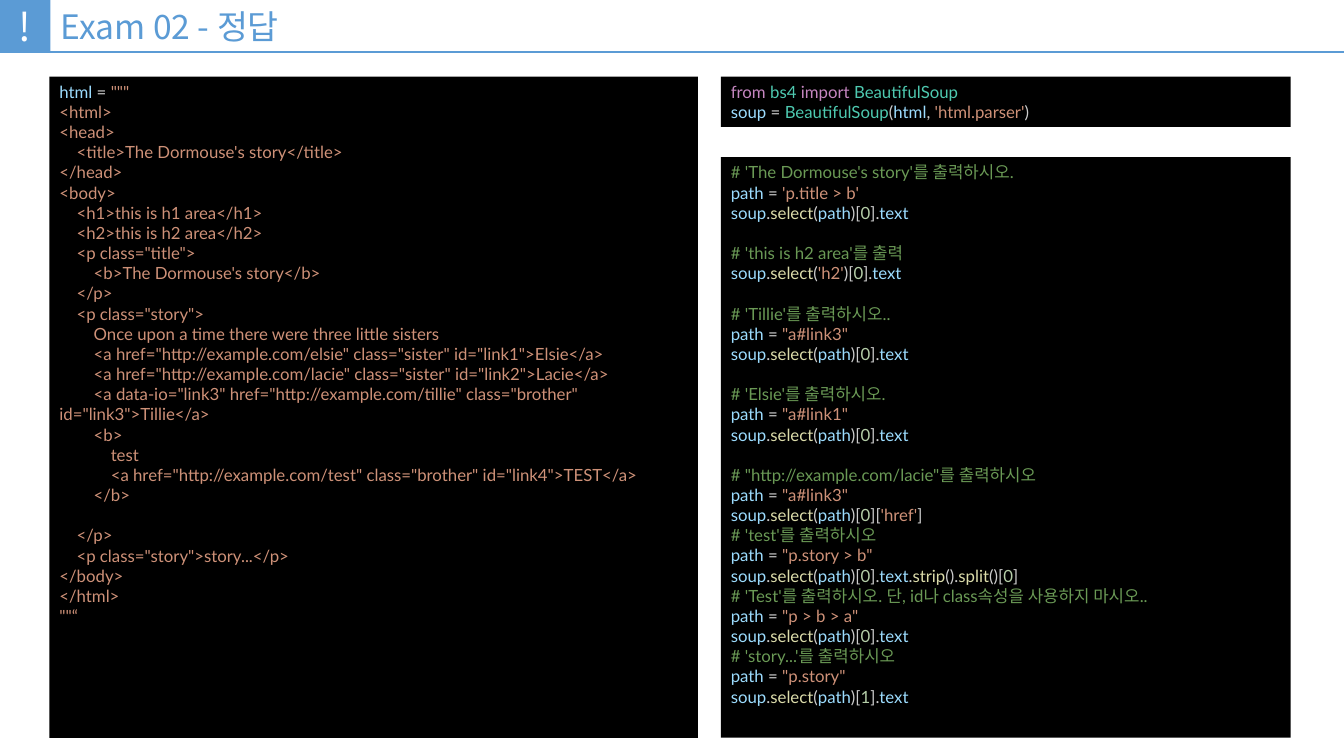
from pptx import Presentation, util as u
from pptx.dml.color import RGBColor
from pptx.enum import shapes, text
from pptx.oxml.ns import qn
from lxml import etree

WHITE = RGBColor(0xFF, 0xFF, 0xFF)
BLACK = RGBColor(0x00, 0x00, 0x00)
BLUE = RGBColor(0x5B, 0x9B, 0xD5)
VARIABLE = RGBColor(0x9C, 0xDC, 0xFE)
OPERATOR = RGBColor(0xD4, 0xD4, 0xD4)
STRING = RGBColor(0xCE, 0x91, 0x78)
KEYWORD = RGBColor(0xC5, 0x86, 0xC0)
CLASS = RGBColor(0x4E, 0xC9, 0xB0)
FUNCTION = RGBColor(0xDC, 0xDC, 0xAA)
NUMBER = RGBColor(0xB5, 0xCE, 0xA8)
COMMENT = RGBColor(0x6A, 0x99, 0x55)
PUNCTUATION = RGBColor(0xCC, 0xCC, 0xCC)

TOKEN_COLOURS = {
    "=": OPERATOR, "from": KEYWORD, "import": KEYWORD,
    "bs4": CLASS, "BeautifulSoup": CLASS, "0": NUMBER, "1": NUMBER,
    **dict.fromkeys(["html", "soup", "path", "text"], VARIABLE),
    **dict.fromkeys(["select", "strip", "split"], FUNCTION),
    "#": COMMENT, "'": STRING, '"': STRING,
}
KOREAN_FONT = "Noto Sans CJK KR"
INDENT = u.Inches(0.17)
CODE_SIZE = 12
BLANK_LINE = u.Pt(CODE_SIZE * 1.2)

presentation = Presentation()
presentation.slide_width, presentation.slide_height = u.Inches(13.33), u.Inches(7.5)
slide = presentation.slides.add_slide(presentation.slide_layouts[5])

# Positions are percentages of the slide's width and height
column, row = presentation.slide_width / 100, presentation.slide_height / 100
HEADER_HEIGHT, BADGE_WIDTH = 6.93, 3.75
PANEL_TOP, PANEL_BOTTOM = 10.13, 97.6
LEFT_X, LEFT_WIDTH = 3.68, 48.24
RIGHT_X, RIGHT_WIDTH = 53.64, 42.39
IMPORT_HEIGHT, ANSWER_TOP = 6.67, 20.8


def write(paragraph, content, font=KOREAN_FONT, size=24, colour=BLUE,
          align=text.PP_ALIGN.LEFT):
    paragraph.alignment = align
    run = paragraph.add_run()
    run.text = content
    run.font.name, run.font.size = font, u.Pt(size)
    run.font.color.rgb = colour
    east_asian = etree.SubElement(run.font._element, qn("a:ea"))
    east_asian.set("typeface", KOREAN_FONT)


def add_box(left, top, width, height, fill, anchor):
    shape = slide.shapes.add_shape(
        shapes.MSO_SHAPE.RECTANGLE, round(left * column), round(top * row),
        round(width * column), round(height * row))
    shape.shadow.inherit = False
    shape.fill.solid()
    shape.fill.fore_color.rgb = fill
    shape.line.fill.background()
    shape.text_frame.word_wrap = True
    shape.text_frame.vertical_anchor = anchor
    return shape.text_frame


# Header: badge, title and rule
badge = add_box(0, 0, BADGE_WIDTH, HEADER_HEIGHT, BLUE, text.MSO_ANCHOR.MIDDLE)
write(badge.paragraphs[0], "!", size=28, colour=WHITE, align=text.PP_ALIGN.CENTER)

title = slide.shapes.title
title.left, title.top = round(BADGE_WIDTH * column), 0
title.width = round((100 - BADGE_WIDTH) * column)
title.height = round(HEADER_HEIGHT * row)
title.text_frame.auto_size = text.MSO_AUTO_SIZE.NONE
title.text_frame.vertical_anchor = text.MSO_ANCHOR.MIDDLE
write(title.text_frame.paragraphs[0], "Exam 02 - 정답")

rule_y = round(HEADER_HEIGHT * row)
rule = slide.shapes.add_connector(
    shapes.MSO_CONNECTOR.STRAIGHT, 0, rule_y, presentation.slide_width, rule_y)
rule.line.color.rgb, rule.line.width = BLUE, u.Pt(1.5)
etree.SubElement(rule._element.spPr, qn("a:effectLst"))

# Code: "|" separates tokens, four leading spaces make one indent level
HTML_CODE = '''html |= |"""
<html>
<head>
    <title>The Dormouse's story</title>
</head>
<body>
    <h1>this is h1 area</h1>
    <h2>this is h2 area</h2>
    <p class="title">
        <b>The Dormouse's story</b>
    </p>
    <p class="story">
        Once upon a time there were three little sisters
        <a href="http://example.com/elsie" class="sister" id="link1">Elsie</a>
        <a href="http://example.com/lacie" class="sister" id="link2">Lacie</a>
        <a data-io="link3" href="http://example.com/tillie" class="brother" id="link3">Tillie</a>
        <b>
            test
            <a href="http://example.com/test" class="brother" id="link4">TEST</a>
        </b>

    </p>
    <p class="story">story...</p>
</body>
</html>
""“'''

IMPORT_CODE = """from |bs4 |import |BeautifulSoup
soup |= |BeautifulSoup|(|html|, |'html.parser'|)"""

SELECT = "soup|.|select|(|path|)[|0|]"
ANSWER_CODE = f"""# 'The Dormouse's story'를 출력하시오.
path |= |'p.title > b'
{SELECT}.|text

# 'this is h2 area'를 출력
soup|.|select|(|'h2'|)[|0|].|text

# 'Tillie'를 출력하시오..
path |= |"a#link3"
{SELECT}.|text

# 'Elsie'를 출력하시오.
path |= |"a#link1"
{SELECT}.|text

# "http://example.com/lacie"를 출력하시오
path |= |"a#link3"
{SELECT}[|'href'|]
# 'test'를 출력하시오
path |= |"p.story > b"
{SELECT}.|text|.|strip|().|split|()[|0|]
# 'Test'를 출력하시오. 단, id나 class속성을 사용하지 마시오..
path |= |"p > b > a"
{SELECT}.|text
# 'story...'를 출력하시오
path |= |"p.story"
soup|.|select|(|path|)[|1|].|text"""

# Code panels
panels = [
    (LEFT_X, PANEL_TOP, LEFT_WIDTH, PANEL_BOTTOM - PANEL_TOP, HTML_CODE, STRING),
    (RIGHT_X, PANEL_TOP, RIGHT_WIDTH, IMPORT_HEIGHT, IMPORT_CODE, PUNCTUATION),
    (RIGHT_X, ANSWER_TOP, RIGHT_WIDTH, PANEL_BOTTOM - ANSWER_TOP, ANSWER_CODE, PUNCTUATION),
]
for left, top, width, height, code, plain_colour in panels:
    frame = add_box(left, top, width, height, BLACK, text.MSO_ANCHOR.TOP)
    paragraph, after_blank = frame.paragraphs[0], False
    for number, line in enumerate(code.split("\n")):
        if not line:
            after_blank = True
            continue
        if number:
            paragraph = frame.add_paragraph()
        if after_blank:
            paragraph.space_before = BLANK_LINE
            after_blank = False
        content = line.lstrip(" ")
        level = (len(line) - len(content)) // 4
        properties = paragraph._p.get_or_add_pPr()
        properties.set("marL", "0")
        properties.set("indent", str(level * INDENT))
        for token in content.split("|"):
            by_start = TOKEN_COLOURS.get(token[0], plain_colour)
            colour = TOKEN_COLOURS.get(token.strip(), by_start)
            write(paragraph, token, font="Lato", size=CODE_SIZE, colour=colour)

presentation.save("out.pptx")
